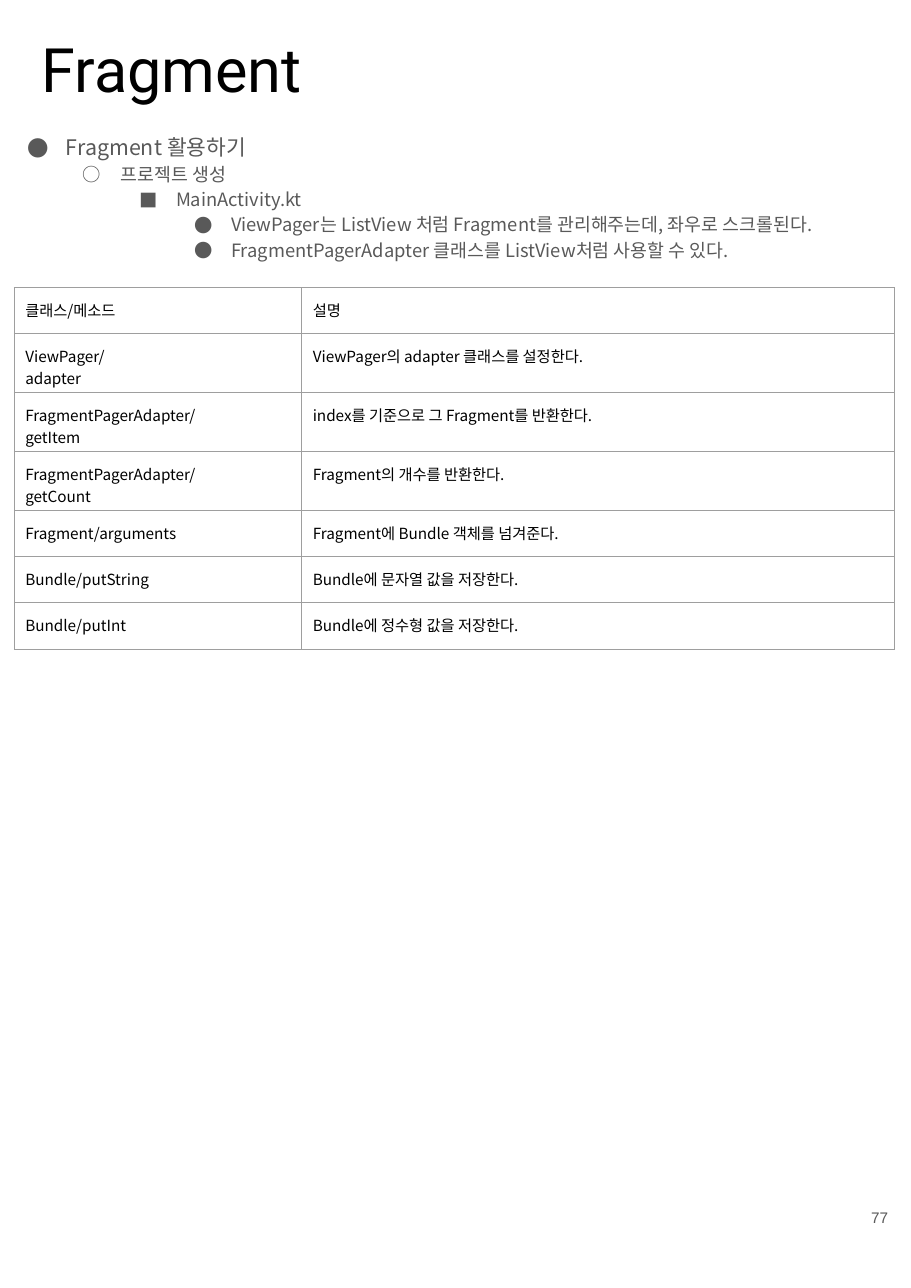
from dataclasses import dataclass

from lxml.etree import SubElement
from pptx import Presentation
from pptx.dml.color import RGBColor as RGB
from pptx.enum.text import MSO_ANCHOR as Anchor, PP_ALIGN as Align
from pptx.oxml.ns import qn
from pptx.util import Inches, Pt


@dataclass(frozen=True)
class Theme:
    ink: str = "000000"
    muted: str = "595959"
    rule: str = "9E9E9E"
    title_font: str = "Roboto"
    body_font: str = "Noto Sans CJK KR"
    number_font: str = "Arial"
    title_size: int = 40
    topic_size: int = 14
    detail_size: int = 12
    small_size: int = 10
    rule_width: float = 0.75
    inset: float = 0.1


def apply(target, values):
    for name, value in values.items():
        setattr(target, name, value)


class HandoutPage:
    """Draws styled elements on one slide."""

    def __init__(self, slide, theme):
        self.slide = slide
        self.theme = theme
        self.margins = {f"margin_{side}": Inches(theme.inset)
                        for side in ("left", "right", "top", "bottom")}

    def add_text(self, paragraph, text, font, size, color):
        run = paragraph.add_run()
        run.text = text
        apply(run.font, {"name": font, "size": Pt(size)})
        run.font.color.rgb = RGB.from_string(color)
        for script in ("a:ea", "a:cs"):
            SubElement(run.font._element, qn(script), typeface=font)

    def frame(self, box, anchor=Anchor.TOP):
        frame = self.slide.shapes.add_textbox(*map(Inches, box)).text_frame
        apply(frame, {"word_wrap": True, "vertical_anchor": anchor, **self.margins})
        return frame

    def label(self, box, text, style, align=Align.LEFT, anchor=Anchor.TOP):
        paragraph = self.frame(box, anchor).paragraphs[0]
        paragraph.alignment = align
        self.add_text(paragraph, text, *style)

    def outline(self, box, items):
        """Bulleted list; items are (level, text)."""
        theme = self.theme
        frame = self.frame(box)
        for index, (level, text) in enumerate(items):
            paragraph = frame.add_paragraph() if index else frame.paragraphs[0]
            apply(paragraph, {"level": level, "line_spacing": 1.15})
            self.bullet(paragraph, level)
            size = theme.detail_size if level else theme.topic_size
            self.add_text(paragraph, text, theme.body_font, size, theme.muted)

    def bullet(self, paragraph, level):
        props = paragraph._p.get_or_add_pPr()
        props.set("marL", str(Inches(0.5 * (level + 1))))
        props.set("indent", str(Inches(-0.35 if level < 2 else -0.33)))
        color = SubElement(props, qn("a:buClr"))
        SubElement(color, qn("a:srgbClr"), val=self.theme.muted)
        SubElement(props, qn("a:buFont"), typeface=self.theme.body_font)
        SubElement(props, qn("a:buChar"), char="●○■●"[level])

    def table(self, left, top, widths, row_height, rows):
        size = (sum(widths), row_height * len(rows))
        table = self.slide.shapes.add_table(
            len(rows), len(widths), *map(Inches, (left, top, *size))).table
        apply(table, {"first_row": False, "horz_banding": False})
        for column, width in zip(table.columns, widths):
            column.width = Inches(width)
        for row, texts in zip(table.rows, rows):
            row.height = Inches(row_height)
            for cell, text in zip(row.cells, texts):
                self.fill_cell(cell, text)

    def fill_cell(self, cell, text):
        theme = self.theme
        apply(cell, self.margins)
        self.border(cell)
        cell.fill.background()
        frame = cell.text_frame
        for index, line in enumerate(text.split("\n")):
            paragraph = frame.add_paragraph() if index else frame.paragraphs[0]
            self.add_text(paragraph, line, theme.body_font, theme.small_size, theme.ink)

    def border(self, cell):
        props = cell._tc.get_or_add_tcPr()
        for side in "LRTB":
            edge = SubElement(props, qn(f"a:ln{side}"), w=str(Pt(self.theme.rule_width)))
            fill = SubElement(edge, qn("a:solidFill"))
            SubElement(fill, qn("a:srgbClr"), val=self.theme.rule)


OUTLINE = [
    (0, "Fragment 활용하기"),
    (1, "프로젝트 생성"),
    (2, "MainActivity.kt"),
    (3, "ViewPager는 ListView 처럼 Fragment를 관리해주는데, 좌우로 스크롤된다."),
    (3, "FragmentPagerAdapter 클래스를 ListView처럼 사용할 수 있다."),
]
METHODS = [
    ("클래스/메소드", "설명"),
    ("ViewPager/\nadapter", "ViewPager의 adapter 클래스를 설정한다."),
    ("FragmentPagerAdapter/\ngetItem", "index를 기준으로 그 Fragment를 반환한다."),
    ("FragmentPagerAdapter/\ngetCount", "Fragment의 개수를 반환한다."),
    ("Fragment/arguments", "Fragment에 Bundle 객체를 넘겨준다."),
    ("Bundle/putString", "Bundle에 문자열 값을 저장한다."),
    ("Bundle/putInt", "Bundle에 정수형 값을 저장한다."),
]


def main():
    deck = Presentation()
    apply(deck, {"slide_width": Inches(8.27), "slide_height": Inches(11.69)})
    theme = Theme()
    page = HandoutPage(deck.slides.add_slide(deck.slide_layouts[6]), theme)

    page.label((0.28, 0.18, 7.7, 0.89), "Fragment",
               (theme.title_font, theme.title_size, theme.ink))
    page.outline((0, 1.08, 7.99, 1.34), OUTLINE)
    page.label((7.66, 10.6, 0.5, 0.89), "77",
               (theme.number_font, theme.small_size, theme.muted),
               Align.RIGHT, Anchor.MIDDLE)
    page.table(0.13, 2.61, (2.61, 5.38), 0.42, METHODS)
    deck.save("out.pptx")


if __name__ == "__main__":
    main()
